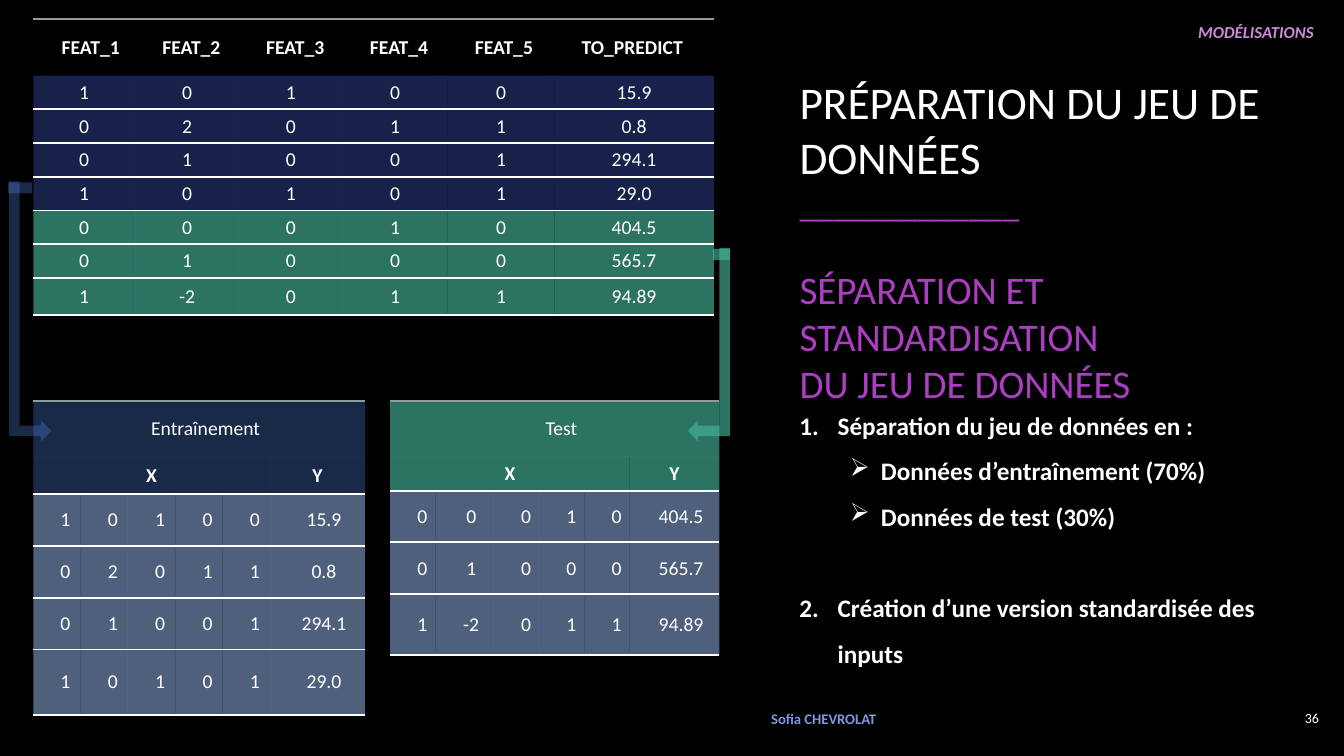
from lxml import etree
from pptx import Presentation
from pptx.dml.color import RGBColor
from pptx.enum import shapes, text
from pptx.oxml import ns
from pptx.util import Inches, Pt

COLOURS = {
    "black": "000000", "white": "FFFFFF", "grey": "8F9A9D", "purple": "AC3EC1",
    "lilac": "CD8BDA", "periwinkle": "8394E4", "blue": "477BD1",
    "indigo": "455FD6", "green": "46B298", "pale": "91B0E3",
}
ALPHA = {"grey": 60, "blue": 35, "indigo": 35, "green": 65, "pale": 55}
NO_GRID_STYLE = "{2D5ABB26-0587-4C30-8999-92F81FD0307C}"
LEFT, CENTER, RIGHT = text.PP_ALIGN.LEFT, text.PP_ALIGN.CENTER, text.PP_ALIGN.RIGHT
MIDDLE = text.MSO_ANCHOR.MIDDLE

# Cell margins: left, top, right, bottom
PLAIN = (0.1, 0.05, 0.1, 0.05)
TALL = (0.27, 0.16, 0.14, 0.16)
BODY = (0.27, 0.14, 0.14, 0.14)

TRAIN_ROWS = [
    ["1", "0", "1", "0", "0", "15.9"],
    ["0", "2", "0", "1", "1", "0.8"],
    ["0", "1", "0", "0", "1", "294.1"],
    ["1", "0", "1", "0", "1", "29.0"],
]
TEST_ROWS = [
    ["0", "0", "0", "1", "0", "404.5"],
    ["0", "1", "0", "0", "0", "565.7"],
    ["1", "-2", "0", "1", "1", "94.89"],
]
FEATURES = ["FEAT_1", "FEAT_2", "FEAT_3", "FEAT_4", "FEAT_5", "TO_PREDICT"]


def sub(parent, tag, **attrs):
    return etree.SubElement(parent, ns.qn(tag), attrs)


def add_alpha(clr, colour):
    if colour in ALPHA:
        sub(clr, "a:alpha", val=str(ALPHA[colour] * 1000))


def paint(fill, props, colour):
    fill.solid()
    fill.fore_color.rgb = RGBColor.from_string(COLOURS[colour])
    add_alpha(props.find(ns.qn("a:solidFill")).find(ns.qn("a:srgbClr")), colour)


def add_run(p, words, colour, size, **formats):
    r = p.add_run()
    r.text = words
    for name, value in {"name": "Calibri", "size": Pt(size), **formats}.items():
        setattr(r.font, name, value)
    r.font.color.rgb = RGBColor.from_string(COLOURS[colour])


def add_text(s, box, anchor=text.MSO_ANCHOR.TOP):
    tf = s.shapes.add_textbox(*map(Inches, box)).text_frame
    tf.word_wrap = True
    tf.vertical_anchor = anchor
    return tf


def add_label(s, box, words, colour, size, align=LEFT, **formats):
    p = add_text(s, box, MIDDLE).paragraphs[0]
    p.alignment = align
    add_run(p, words, colour, size, **formats)


def add_border(props, side, colour):
    ln = sub(props, side, w=str(Pt(1.5)))
    clr = sub(sub(ln, "a:solidFill"), "a:srgbClr", val=COLOURS[colour])
    add_alpha(clr, colour)


def format_cell(cell, margins, fill=None, top=None, bottom=None):
    cell.vertical_anchor = MIDDLE
    sides = ("margin_left", "margin_top", "margin_right", "margin_bottom")
    for name, value in zip(sides, margins):
        setattr(cell, name, Inches(value))
    props = cell._tc.get_or_add_tcPr()
    for side, colour in (("a:lnT", top), ("a:lnB", bottom)):
        if colour:
            add_border(props, side, colour)
    if fill:
        paint(cell.fill, props, fill)
    else:
        cell.fill.background()


def add_data_table(s, x, y, cols, heights, rows):
    """Each row is (values, bold, cell format); None extends the value on its left."""
    frame = s.shapes.add_table(len(rows), len(cols), Inches(x), Inches(y),
                               Inches(sum(cols)), Inches(sum(heights)))
    table = frame.table
    table.first_row = table.horz_banding = False
    table._tbl.tblPr.find(ns.qn("a:tableStyleId")).text = NO_GRID_STYLE
    for col, width in zip(table.columns, cols):
        col.width = Inches(width)
    for i, (values, bold, style) in enumerate(rows):
        table.rows[i].height = Inches(heights[i])
        for j, value in enumerate(values):
            cell = table.cell(i, j)
            format_cell(cell, **style)
            if value is None:
                continue
            p = cell.text_frame.paragraphs[0]
            p.alignment = LEFT if values is FEATURES and j else CENTER
            add_run(p, value, "white", 14, bold=bold)
            end = j + 1
            while end < len(values) and values[end] is None:
                end += 1
            if end > j + 1:
                cell.merge(table.cell(i, end - 1))


def body_rows(values, fill, margins):
    style = {"margins": margins, "fill": fill, "bottom": "white"}
    return [(row, False, style) for row in values]


def add_split_table(s, x, cols, heights, name, fill, values):
    rows = [
        ([name] + [None] * 5, False, {"margins": TALL, "fill": fill, "top": "grey"}),
        (["X"] + [None] * 4 + ["Y"], True,
         {"margins": PLAIN, "fill": fill, "bottom": "white"}),
    ]
    add_data_table(s, x, 3.98, cols, heights, rows + body_rows(values, "pale", BODY))


def add_block(s, kind, box, colour, rotation=0, flip=False):
    sp = s.shapes.add_shape(kind, *map(Inches, box))
    sp.shadow.inherit = False
    sp.rotation = rotation
    sp.line.fill.background()
    paint(sp.fill, sp._element.spPr, colour)
    if flip:
        sp._element.spPr.find(ns.qn("a:xfrm")).set("flipH", "1")


def add_title(s):
    title = s.shapes.title
    box = (7.83, 0.9, 5.2, 2.97)
    for name, value in zip(("left", "top", "width", "height"), box):
        setattr(title, name, Inches(value))
    tf = title.text_frame
    tf.word_wrap = True
    tf.auto_size = text.MSO_AUTO_SIZE.NONE
    tf.vertical_anchor = MIDDLE
    p = tf.paragraphs[0]
    add_run(p, "PRÉPARATION DU JEU DE DONNÉES", "white", 32.4)
    p.add_line_break()
    add_run(p, "_____________", "purple", 24.3)
    for words, gap in (("SÉPARATION ET STANDARDISATION", 29.6), ("DU JEU DE DONNÉES", 0)):
        p = tf.add_paragraph()
        p.space_before = Pt(gap)
        add_run(p, words, "purple", 27.9)
    for p in tf.paragraphs:
        p.alignment = LEFT


def add_steps(s):
    tf = add_text(s, (7.83, 3.87, 5.23, 2.78))
    tf.auto_size = text.MSO_AUTO_SIZE.SHAPE_TO_FIT_TEXT
    steps = [
        ("Séparation du jeu de données en :", 0, 0),
        ("Données d’entraînement (70%)", 1, 0),
        ("Données de test (30%)", 1, 0),
        ("Création d’une version standardisée des inputs", 0, 33),
    ]
    for i, (words, level, gap) in enumerate(steps):
        p = tf.add_paragraph() if i else tf.paragraphs[0]
        props = p._p.get_or_add_pPr()
        margin, indent = ((0.38, -0.38), (0.81, -0.31))[level]
        props.set("marL", str(Inches(margin)))
        props.set("indent", str(Inches(indent)))
        if level:
            sub(props, "a:buChar", char="➢")
        else:
            sub(props, "a:buAutoNum", type="arabicPeriod")
        p.level = level
        p.line_spacing = 1.5
        if gap:
            p.space_before = Pt(gap)
        add_run(p, words, "white", 18, bold=True)


def main():
    prs = Presentation()
    prs.slide_width, prs.slide_height = Inches(13.33), Inches(7.5)
    s = prs.slides.add_slide(prs.slide_layouts[5])
    s.background.fill.solid()
    s.background.fill.fore_color.rgb = RGBColor.from_string(COLOURS["black"])

    # Title, steps and labels
    add_title(s)
    add_steps(s)
    add_label(s, (7.67, 0.17, 5.46, 0.3), "MODÉLISATIONS", "lilac", 12, RIGHT,
              bold=True, italic=True)
    add_label(s, (12.58, 6.92, 0.6, 0.41), "36", "white", 10, RIGHT)
    add_label(s, (7.55, 6.92, 1.76, 0.41), "Sofia CHEVROLAT", "periwinkle", 10.5, bold=True)

    # Full data set, then its training and test parts
    header = (FEATURES, True, {"margins": TALL, "top": "grey"})
    add_data_table(s, 0.33, 0.19, [1.01, 1.03, 1.03, 1.04, 1.06, 1.58],
                   [0.56] + [0.335] * 6 + [0.37],
                   [header] + body_rows(TRAIN_ROWS, "indigo", PLAIN)
                   + body_rows(TEST_ROWS, "green", PLAIN))
    add_split_table(s, 0.33, [0.47] * 5 + [0.94], [0.55, 0.37] + [0.51] * 3 + [0.65],
                    "Entraînement", "blue", TRAIN_ROWS)
    add_split_table(s, 3.87, [0.44, 0.58] + [0.44] * 3 + [0.89],
                    [0.55, 0.33, 0.51, 0.51, 0.6], "Test", "green", TEST_ROWS)

    # Arrows from the full table to each part
    bent, rect = shapes.MSO_SHAPE.BENT_UP_ARROW, shapes.MSO_SHAPE.RECTANGLE
    add_block(s, bent, (-0.99, 2.88, 2.58, 0.42), "blue", 90)
    add_block(s, bent, (6.07, 3.21, 1.92, 0.42), "green", 270, flip=True)
    add_block(s, rect, (0.08, 1.81, 0.24, 0.11), "blue")
    add_block(s, rect, (7.07, 2.47, 0.17, 0.11), "green")

    prs.save("out.pptx")


if __name__ == "__main__":
    main()
